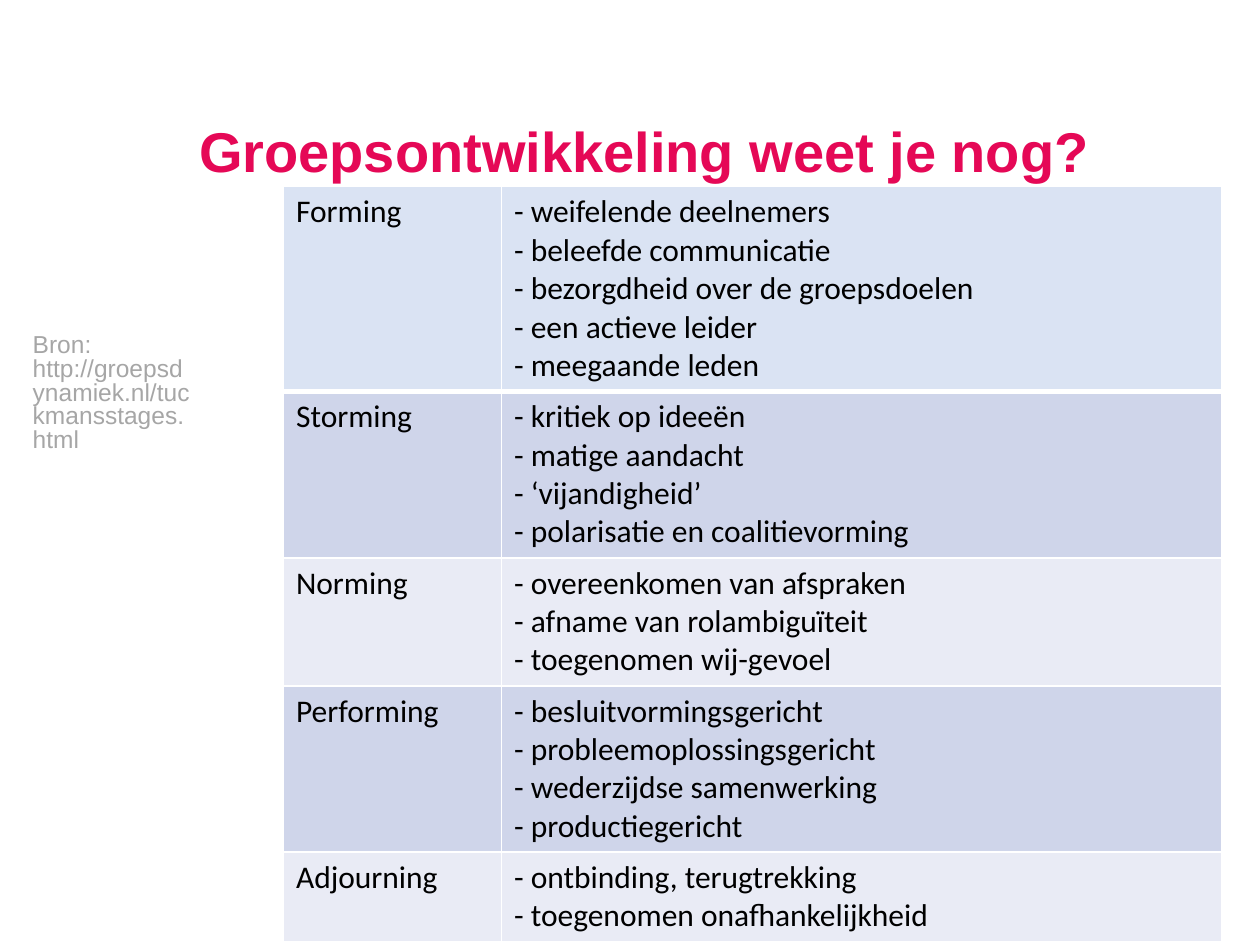
from dataclasses import dataclass

from lxml import etree
from pptx import Presentation
from pptx.dml.color import RGBColor
from pptx.enum.text import MSO_ANCHOR, MSO_AUTO_SIZE, PP_ALIGN
from pptx.oxml.ns import qn
from pptx.util import Pt

LEFT = PP_ALIGN.LEFT
TOP, MIDDLE = MSO_ANCHOR.TOP, MSO_ANCHOR.MIDDLE
NO_FIT = MSO_AUTO_SIZE.NONE


@dataclass(frozen=True)
class Theme:
    head: str = "Arial"
    body: str = "Calibri"
    pink: str = "E50856"
    gray: str = "A6A6A6"
    ink: str = "000000"
    rule: str = "FFFFFF"
    first: str = "DAE3F3"
    dark: str = "CFD5EA"
    light: str = "E9EBF5"
    title: int = 32
    cell: int = 18
    note: int = 14


@dataclass(frozen=True)
class Box:
    left: float
    top: float
    width: float
    height: float


@dataclass(frozen=True)
class Stage:
    name: str
    traits: tuple[str, ...]


THEME = Theme()
TITLE = Box(106.56, 65.5, 591.84, 51.12)
GRID = Box(162, 106.56, 536.4, 424.8)
NOTE = Box(11.52, 187.92, 105.12, 311.04)
COLS = (124.56, 411.84)
ROW = 29.52

STAGES = (
    Stage("Forming", ("weifelende deelnemers", "beleefde communicatie",
                      "bezorgdheid over de groepsdoelen",
                      "een actieve leider", "meegaande leden")),
    Stage("Storming", ("kritiek op ideeën", "matige aandacht",
                       "‘vijandigheid’", "polarisatie en coalitievorming")),
    Stage("Norming", ("overeenkomen van afspraken",
                      "afname van rolambiguïteit", "toegenomen wij-gevoel")),
    Stage("Performing", ("besluitvormingsgericht", "probleemoplossingsgericht",
                         "wederzijdse samenwerking", "productiegericht")),
    Stage("Adjourning", ("ontbinding, terugtrekking",
                         "toegenomen onafhankelijkheid")),
)


def write(frame, text: str, *, font: str, size: float, color: str,
          bold: bool = False, line: float = 1.0, before: float = 0) -> None:
    """Fill the frame with one paragraph; newlines become line breaks."""
    para = frame.paragraphs[0]
    para.text = text
    para.alignment = LEFT
    para.line_spacing = line
    para.space_before = Pt(before)
    for run in para.runs:
        run.font.name = font
        run.font.size = Pt(size)
        run.font.bold = bold
        run.font.color.rgb = RGBColor.from_string(color)


def place(shape, box: Box, anchor: MSO_ANCHOR) -> None:
    shape.left, shape.top = Pt(box.left), Pt(box.top)
    shape.width, shape.height = Pt(box.width), Pt(box.height)
    frame = shape.text_frame
    frame.word_wrap = True
    frame.auto_size = NO_FIT
    frame.vertical_anchor = anchor


def plain(para) -> None:
    """Remove the bullet and hanging indent of a list paragraph."""
    props = para._p.get_or_add_pPr()
    props.set("marL", "0")
    props.set("indent", "0")
    etree.SubElement(props, qn("a:buNone"))


def border(cell, **widths: float) -> None:
    """Draw cell edges; keys are the sides L, R, T and B in schema order."""
    props = cell._tc.get_or_add_tcPr()
    for spot, (side, width) in enumerate(widths.items()):
        edge = etree.Element(qn(f"a:ln{side}"), w=str(Pt(width)))
        fill = etree.SubElement(edge, qn("a:solidFill"))
        etree.SubElement(fill, qn("a:srgbClr"), val=THEME.rule)
        props.insert(spot, edge)


def draw_grid(slide, stages: tuple[Stage, ...], box: Box) -> None:
    """Add the stage table; its rows grow to fit their text."""
    shape = slide.shapes.add_table(
        len(stages), len(COLS), Pt(box.left), Pt(box.top),
        Pt(box.width), Pt(box.height))
    table = shape.table
    table.first_row = table.horz_banding = False
    for col, width in zip(table.columns, COLS):
        col.width = Pt(width)
    for num, (row, stage) in enumerate(zip(table.rows, stages)):
        row.height = Pt(ROW)
        shade = THEME.dark if num % 2 else THEME.light
        if num == 0:
            shade = THEME.first
        traits = "\n".join(f"- {trait}" for trait in stage.traits)
        for cell, text in zip(row.cells, (stage.name, traits)):
            write(cell.text_frame, text, font=THEME.body, size=THEME.cell,
                  color=THEME.ink)
            cell.fill.solid()
            cell.fill.fore_color.rgb = RGBColor.from_string(shade)
            border(cell, L=1, R=1, T=3 if num == 1 else 1,
                   B=3 if num == 0 else 1)
    shape.height = Pt(box.height)


def main() -> None:
    deck = Presentation()
    deck.slide_width, deck.slide_height = Pt(720), Pt(540)
    slide = deck.slides.add_slide(deck.slide_layouts[1])

    title = slide.shapes.title
    place(title, TITLE, MIDDLE)
    title.text_frame.margin_bottom = Pt(9)
    write(title.text_frame, "Groepsontwikkeling weet je nog?",
          font=THEME.head, size=THEME.title, color=THEME.pink,
          bold=True, line=0.9)

    draw_grid(slide, STAGES, GRID)

    note = slide.placeholders[1]
    place(note, NOTE, TOP)
    write(note.text_frame,
          "Bron: http://groepsdynamiek.nl/tuckmansstages.html",
          font=THEME.head, size=THEME.note, color=THEME.gray,
          line=0.8, before=7.5)
    plain(note.text_frame.paragraphs[0])

    deck.save("out.pptx")


if __name__ == "__main__":
    main()
